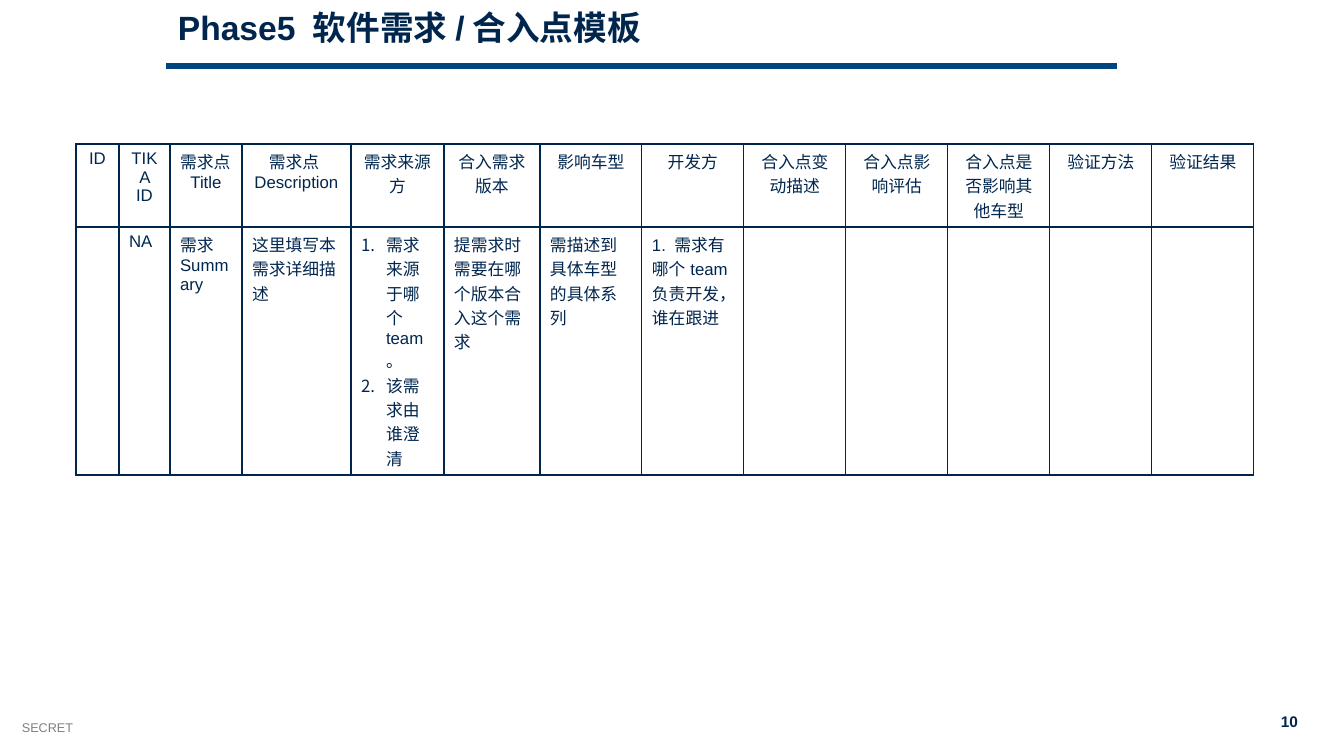
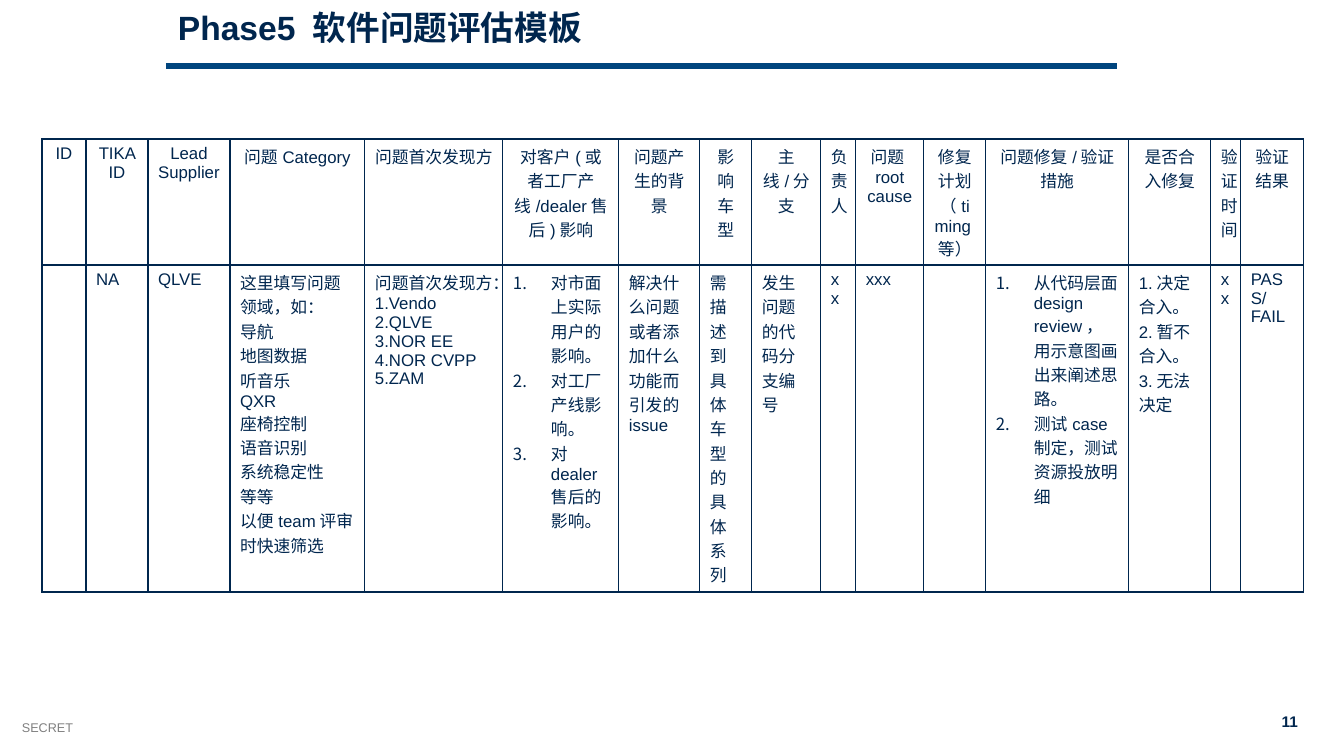
from dataclasses import dataclass

from lxml.etree import SubElement
from pptx import Presentation
from pptx.dml.color import RGBColor as Color
from pptx.enum.shapes import MSO_CONNECTOR as Connector
from pptx.enum.text import MSO_ANCHOR as Anchor, PP_ALIGN as Align
from pptx.oxml.ns import qn
from pptx.util import Pt

EMU_PER_PX = 914400 / 100.8


def px(length):
    return round(length * EMU_PER_PX)


@dataclass(frozen=True)
class Theme:
    font: str = "Arial"
    navy: str = "00264E"
    blue: str = "00457E"
    gray: str = "808080"
    white: str = "FFFFFF"
    title_size: int = 24
    table_size: int = 12
    number_size: int = 11
    footer_size: int = 9
    rule_width: float = 4.5
    border_width: int = 1


@dataclass(frozen=True)
class Numbered:
    items: tuple


class Deck:
    def __init__(self, theme):
        self.theme = theme
        self.presentation = Presentation()
        self.presentation.slide_width = px(1344)
        self.presentation.slide_height = px(756)
        self.slide = None

    def add_slide(self, title, number):
        layout = self.presentation.slide_layouts[6]
        self.slide = self.presentation.slides.add_slide(layout)
        theme = self.theme
        self.text("SECRET", (12, 715, 302, 25), theme.footer_size, theme.gray, wrap=False)
        self.text(str(number), (1269, 707, 39, 29), theme.number_size, theme.navy,
                  bold=True, align=Align.RIGHT, wrap=False)
        self.rule(166, 1117, 66)
        heading = self.text(title, (168, 7, 1170, 64), theme.title_size, theme.navy, bold=True)
        heading.paragraphs[0].line_spacing = 0.9

    def style(self, paragraph, size, color, bold=False, align=Align.LEFT):
        paragraph.alignment = align
        for run in paragraph.runs:
            run.font.name = self.theme.font
            run.font.size = Pt(size)
            run.font.bold = bold
            run.font.color.rgb = Color.from_string(color)

    def text(self, content, box, size, color, bold=False, align=Align.LEFT, wrap=True):
        frame = self.slide.shapes.add_textbox(*map(px, box)).text_frame
        frame.word_wrap = wrap
        frame.vertical_anchor = Anchor.TOP
        frame.text = content
        self.style(frame.paragraphs[0], size, color, bold, align)
        return frame

    def rule(self, left, right, y):
        line = self.slide.shapes.add_connector(
            Connector.STRAIGHT, px(left), px(y), px(right), px(y))
        line.line.color.rgb = Color.from_string(self.theme.blue)
        line.line.width = Pt(self.theme.rule_width)
        SubElement(line._element.spPr, qn("a:effectLst"))

    def table(self, left, top, widths, heights, rows, indent):
        frame = self.slide.shapes.add_table(
            len(rows), len(widths), px(left), px(top), px(sum(widths)), px(sum(heights)))
        table = frame.table
        table.horz_banding = False
        table.first_row = False
        for column, width in zip(table.columns, widths):
            column.width = px(width)
        for index, (row, height) in enumerate(zip(table.rows, heights)):
            row.height = px(height)
            align = Align.LEFT if index else Align.CENTER
            for cell, content in zip(row.cells, rows[index]):
                self.cell(cell, content, align, indent)

    def cell(self, cell, content, align, indent):
        numbered = isinstance(content, Numbered)
        cell.text = "\n".join(content.items) if numbered else content
        for paragraph in cell.text_frame.paragraphs:
            if numbered:
                self.number(paragraph, indent)
            self.style(paragraph, self.theme.table_size, self.theme.navy, align=align)
        self.border(cell)
        cell.fill.solid()
        cell.fill.fore_color.rgb = Color.from_string(self.theme.white)

    def number(self, paragraph, indent):
        properties = paragraph._p.get_or_add_pPr()
        properties.set("marL", str(px(indent)))
        properties.set("indent", str(-px(indent)))
        SubElement(properties, qn("a:buAutoNum"), type="arabicPeriod")

    def border(self, cell):
        properties = cell._tc.get_or_add_tcPr()
        for side in ("a:lnL", "a:lnR", "a:lnT", "a:lnB"):
            line = SubElement(properties, qn(side), w=str(Pt(self.theme.border_width)))
            fill = SubElement(line, qn("a:solidFill"))
            SubElement(fill, qn("a:srgbClr"), val=self.theme.navy)


REQUIREMENT_COLUMNS = [
    (43, "ID", ""),
    (51, "TIKA ID", "NA"),
    (72, "需求点Title", "需求Summary"),
    (109, "需求点Description", "这里填写本需求详细描述"),
    (93, "需求来源方", Numbered(("需求来源于哪个team。", "该需求由谁澄清"))),
    (96, "合入需求版本", "提需求时需要在哪个版本合入这个需求"),
    (102, "影响车型", "需描述到具体车型的具体系列"),
    (102, "开发方", "1. 需求有哪个team负责开发，谁在跟进"),
    (102, "合入点变动描述", ""),
    (102, "合入点影响评估", ""),
    (102, "合入点是否影响其他车型", ""),
    (102, "验证方法", ""),
    (102, "验证结果", ""),
]

ISSUE_COLUMNS = [
    (44, "ID", ""),
    (62, "TIKA ID", "NA"),
    (82, "Lead Supplier", "QLVE"),
    (135, "问题Category",
     "这里填写问题领域，如：\n导航\n地图数据\n听音乐\nQXR\n座椅控制\n语音识别\n"
     "系统稳定性\n等等\n以便team评审时快速筛选"),
    (138, "问题首次发现方",
     "问题首次发现方：\n1.Vendo\n2.QLVE\n3.NOR EE\n4.NOR CVPP\n5.ZAM"),
    (116, "对客户(或者工厂产线/dealer售后)影响",
     Numbered(("对市面上实际用户的影响。", "对工厂产线影响。", "对dealer售后的影响。"))),
    (81, "问题产生的背景", "解决什么问题或者添加什么功能而引发的issue"),
    (52, "影响车型", "需描述到具体车型的具体系列"),
    (69, "主线/分支", "发生问题的代码分支编号"),
    (35, "负责人", "xx"),
    (68, "问题root cause", "xxx"),
    (62, "修复计划（timing等）", ""),
    (143, "问题修复/验证措施",
     Numbered(("从代码层面design review，用示意图画出来阐述思路。",
               "测试case制定，测试资源投放明细"))),
    (82, "是否合入修复", "1.决定合入。\n2.暂不合入。\n3.无法决定"),
    (30, "验证时间", "xx"),
    (63, "验证结果", "PASS/FAIL"),
]


def main():
    deck = Deck(Theme())
    pages = [
        ("Phase5 软件需求/合入点模板", 10, REQUIREMENT_COLUMNS, (76, 144), (83, 248), 25),
        ("Phase5 软件问题评估模板", 11, ISSUE_COLUMNS, (42, 139), (126, 327), 38),
    ]
    for title, number, columns, (left, top), heights, indent in pages:
        widths, headers, examples = zip(*columns)
        deck.add_slide(title, number)
        deck.table(left, top, widths, heights, (headers, examples), indent)
    deck.presentation.save("out.pptx")


if __name__ == "__main__":
    main()
